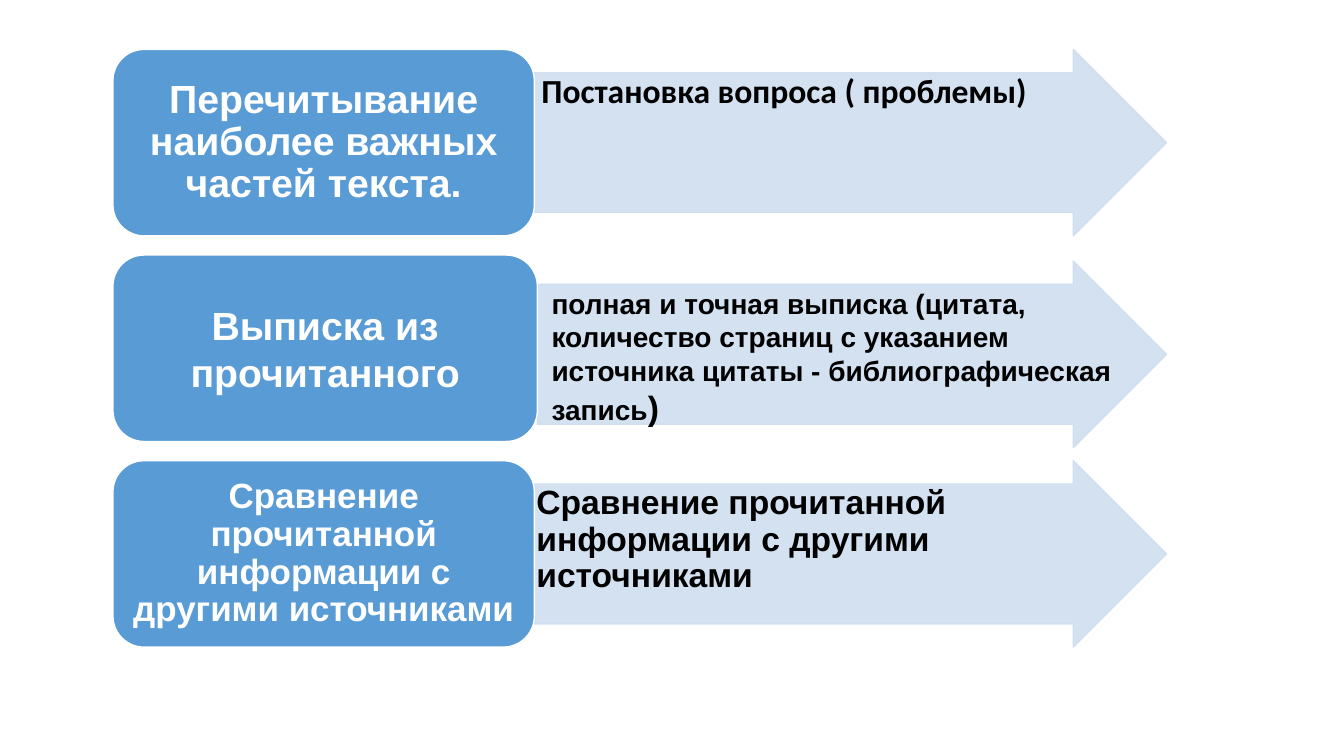
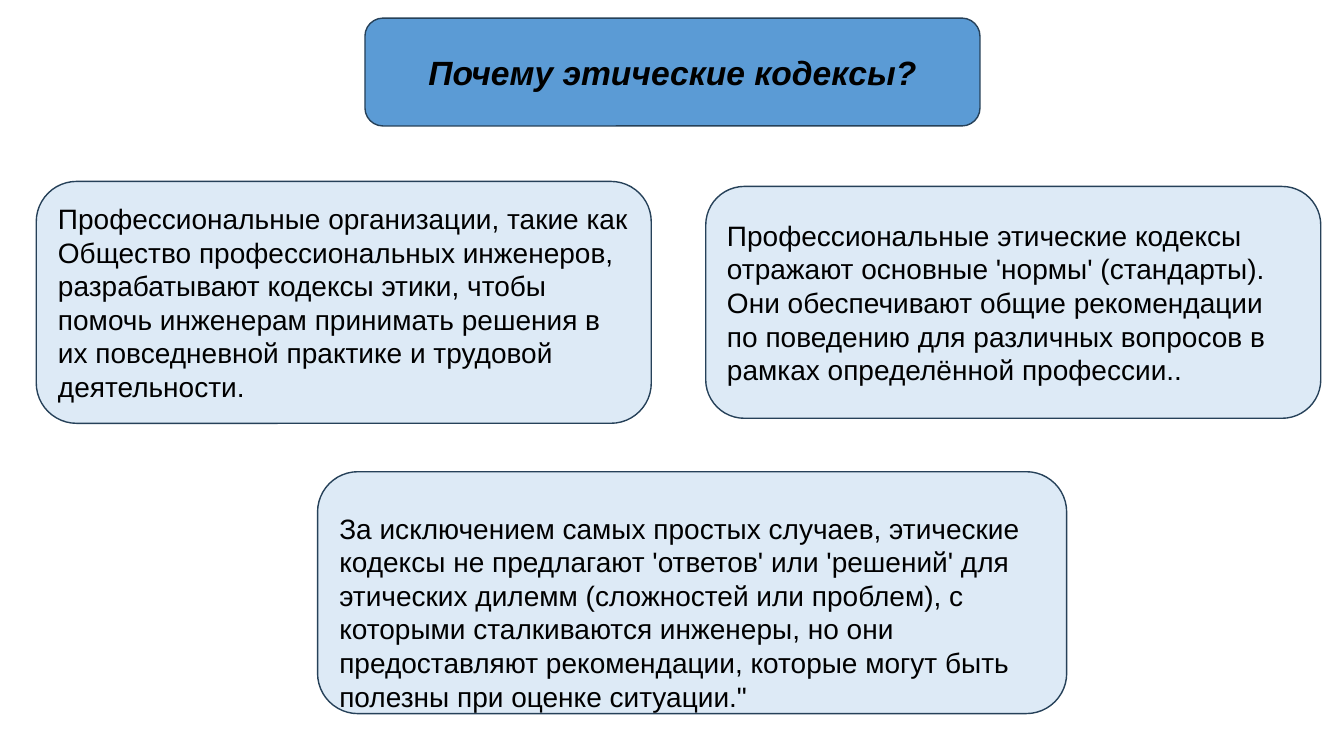
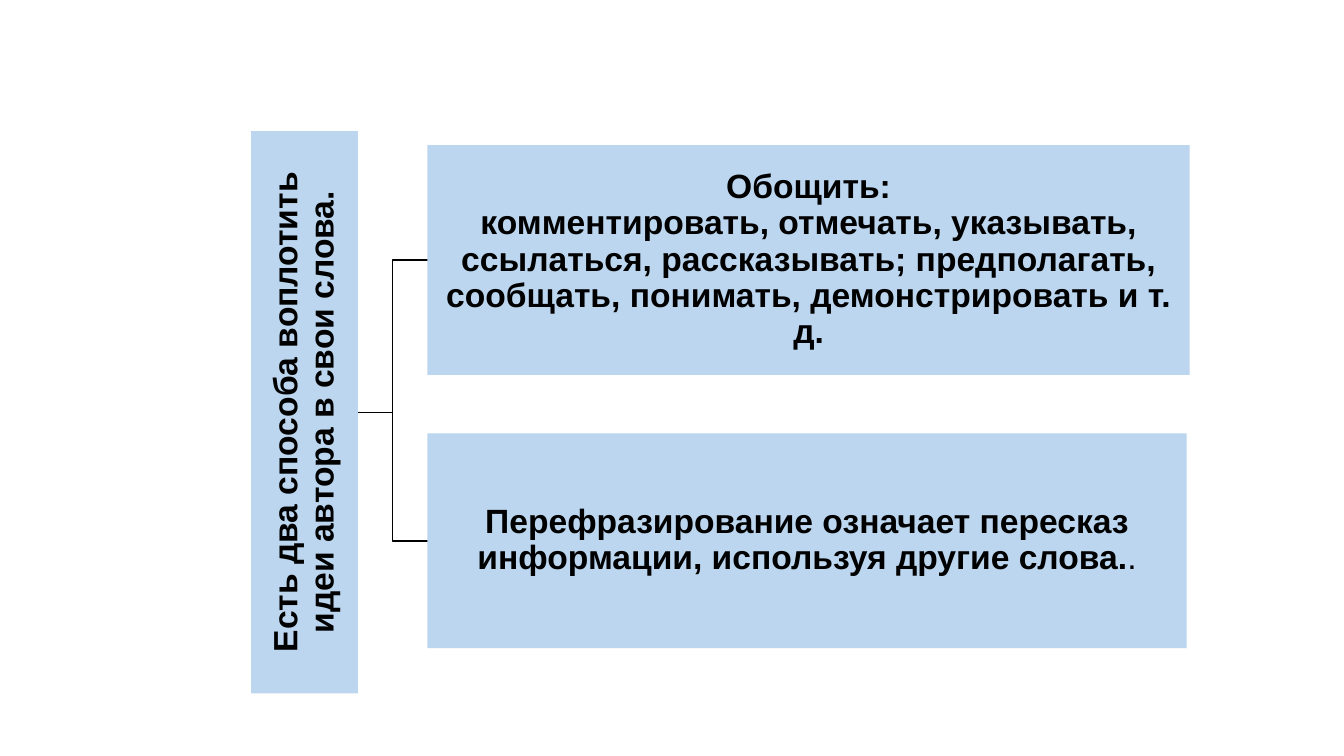
import pptx
import pptx.util
import pptx.dml.color
import pptx.enum.shapes
import pptx.enum.text
import pptx.oxml.ns
from lxml import etree

Inches = pptx.util.Inches
Pt = pptx.util.Pt
hex_color = pptx.dml.color.RGBColor.from_string
SHAPE = pptx.enum.shapes.MSO_SHAPE
CONNECTOR = pptx.enum.shapes.MSO_CONNECTOR
ANCHOR = pptx.enum.text.MSO_ANCHOR
ALIGN = pptx.enum.text.PP_ALIGN
qn = pptx.oxml.ns.qn

# Shared look
FONT = "Arial"
BLACK, WHITE = "000000", "FFFFFF"
STEP_BLUE, HEADING_BLUE = "599BD5", "5B9BD5"
ARROW_BLUE, CARD_BLUE, METHOD_BLUE = "CFDEEF", "DDEAF6", "BBD6EE"
CARD_EDGE = "264159"
THIN = (0.02, 0.02, 0.02, 0.02)
NORMAL = (0.1, 0.05, 0.1, 0.05)


def add_panel(slide, kind, place, fill, edge=None):
    panel = slide.shapes.add_shape(kind, *map(Inches, place))
    panel.shadow.inherit = False
    panel.fill.solid()
    panel.fill.fore_color.rgb = hex_color(fill)
    if edge:
        panel.line.color.rgb = hex_color(edge)
        panel.line.width = Pt(1)
    else:
        panel.line.fill.background()
    return panel


def write(shape, text, size, color=BLACK, bold=True, font=FONT, align=ALIGN.CENTER,
          anchor=ANCHOR.MIDDLE, insets=NORMAL, spacing=0.9):
    frame = shape.text_frame
    frame.text = text
    frame.word_wrap = True
    frame.vertical_anchor = anchor
    (frame.margin_left, frame.margin_top,
     frame.margin_right, frame.margin_bottom) = map(Inches, insets)
    for paragraph in frame.paragraphs:
        paragraph.alignment = align
        paragraph.line_spacing = spacing
        for run in paragraph.runs:
            run.font.size = Pt(size)
            run.font.name = font
            run.font.bold = bold
            run.font.color.rgb = hex_color(color)
    return frame.paragraphs[-1]


deck = pptx.Presentation()
deck.slide_width, deck.slide_height = Inches(13.33), Inches(7.5)
reading, ethics, wording = (deck.slides.add_slide(deck.slide_layouts[6]) for _ in range(3))

# Slide 1: reading steps, each with an arrow that explains it
STEP_LEFT, STEP_HEIGHT, ARROW_TIP = 1.12, 1.85, 11.57
comparison = "Сравнение прочитанной информации с другими источниками"
# step, size, spacing, top, width; arrow top; detail, size, font, offset from arrow, width
steps = [
    ("Перечитывание наиболее важных частей текста.", 28, 0.9, 0.49, 4.18, 0.49,
     "Постановка вопроса ( проблемы)", 24, "Calibri", 0.05, 5.33),
    ("Выписка из прочитанного", 28, 1.0, 2.53, 4.21, 2.59,
     "полная и точная выписка (цитата, количество страниц с указанием "
     "источника цитаты - библиографическая запись", 20, FONT, 0.12, 5.98),
    (comparison, 25, 0.9, 4.57, 4.18, 4.57, comparison, 24, FONT, 0, 5.58),
]
for (step, step_size, spacing, top, width, arrow_top,
     detail, detail_size, detail_font, offset, detail_width) in steps:
    arrow_left = STEP_LEFT + width
    arrow = add_panel(reading, SHAPE.RIGHT_ARROW,
                      (arrow_left, arrow_top, ARROW_TIP - arrow_left, STEP_HEIGHT),
                      ARROW_BLUE, ARROW_BLUE)
    arrow.adjustments[0] = 0.75
    for tint in arrow._element.spPr.iter(qn("a:srgbClr")):
        etree.SubElement(tint, qn("a:alpha")).set("val", "90000")

    note = reading.shapes.add_textbox(
        Inches(arrow_left + offset), Inches(arrow_top + STEP_HEIGHT / 8),
        Inches(detail_width), Inches(STEP_HEIGHT * 0.75))
    detail_end = write(note, detail, detail_size, font=detail_font, align=ALIGN.LEFT,
                       anchor=ANCHOR.TOP, insets=THIN, spacing=spacing)
    if "(цитата" in detail:
        bracket = detail_end.add_run()
        bracket.text = ")"
        bracket.font.size = Pt(24)
        bracket.font.name = FONT
        bracket.font.bold = True
        bracket.font.color.rgb = hex_color(BLACK)

    step_box = add_panel(reading, SHAPE.ROUNDED_RECTANGLE,
                         (STEP_LEFT, top, width, STEP_HEIGHT), STEP_BLUE, WHITE)
    write(step_box, step, step_size, WHITE, spacing=spacing)

# Slide 2: heading and three cards
heading = add_panel(ethics, SHAPE.ROUNDED_RECTANGLE, (3.62, 0.18, 6.1, 1.07),
                    HEADING_BLUE, CARD_EDGE)
question = write(heading, "Почему этические кодексы?", 24, spacing=1.0)
question.runs[0].font.italic = True

cards = [
    ((3.15, 4.68, 7.43, 2.4), (0.1, 0.43, 0.1, 0.05),
     "За исключением самых простых случаев, этические кодексы не предлагают "
     "'ответов' или 'решений' для этических дилемм (сложностей или проблем), с "
     "которыми сталкиваются инженеры, но они предоставляют рекомендации, которые "
     "могут быть полезны при оценке ситуации.\""),
    ((7, 1.85, 6.1, 2.3), NORMAL,
     "Профессиональные этические кодексы отражают основные 'нормы' (стандарты). "
     "Они обеспечивают общие рекомендации по поведению для различных вопросов в "
     "рамках определённой профессии.."),
    ((0.36, 1.8, 6.1, 2.4), NORMAL,
     "Профессиональные организации, такие как Общество профессиональных инженеров, "
     "разрабатывают кодексы этики, чтобы помочь инженерам принимать решения в их "
     "повседневной практике и трудовой деятельности."),
]
for place, insets, statement in cards:
    card = add_panel(ethics, SHAPE.ROUNDED_RECTANGLE, place, CARD_BLUE, CARD_EDGE)
    write(card, statement, 20, bold=False, align=ALIGN.LEFT, insets=insets, spacing=1.0)

# Slide 3: two methods branching from a vertical title
TRUNK_X, TRUNK_Y, METHOD_LEFT = 3.55, 4.09, 4.24
methods = [
    (1.44, 7.56, 2.28,
     "Обощить:\nкомментировать, отмечать, указывать, ссылаться, рассказывать; "
     "предполагать, сообщать, понимать, демонстрировать и т. д."),
    (4.3, 7.53, 2.13,
     "Перефразирование означает пересказ информации, используя другие слова."),
]
for top, width, height, method in methods:
    branch = wording.shapes.add_connector(
        CONNECTOR.ELBOW, Inches(TRUNK_X), Inches(TRUNK_Y),
        Inches(METHOD_LEFT), Inches(top + height / 2))
    branch.line.color.rgb = hex_color(BLACK)
    branch.line.width = Pt(1)
    etree.SubElement(branch._element.spPr, qn("a:effectLst"))

    method_box = add_panel(wording, SHAPE.RECTANGLE, (METHOD_LEFT, top, width, height),
                           METHOD_BLUE)
    method_end = write(method_box, method, 24, insets=THIN)

# The last method closes with a second, lighter full stop
full_stop = method_end.add_run()
full_stop.text = "."
full_stop.font.size = Pt(24)
full_stop.font.name = FONT
full_stop.font.bold = False
full_stop.font.color.rgb = hex_color(BLACK)

title_bar = add_panel(wording, SHAPE.RECTANGLE, (0.23, 3.56, 5.58, 1.06), METHOD_BLUE)
title_bar.rotation = 270
write(title_bar, "Есть два способа воплотить идеи автора в свои слова.", 24, insets=THIN)

deck.save("out.pptx")
